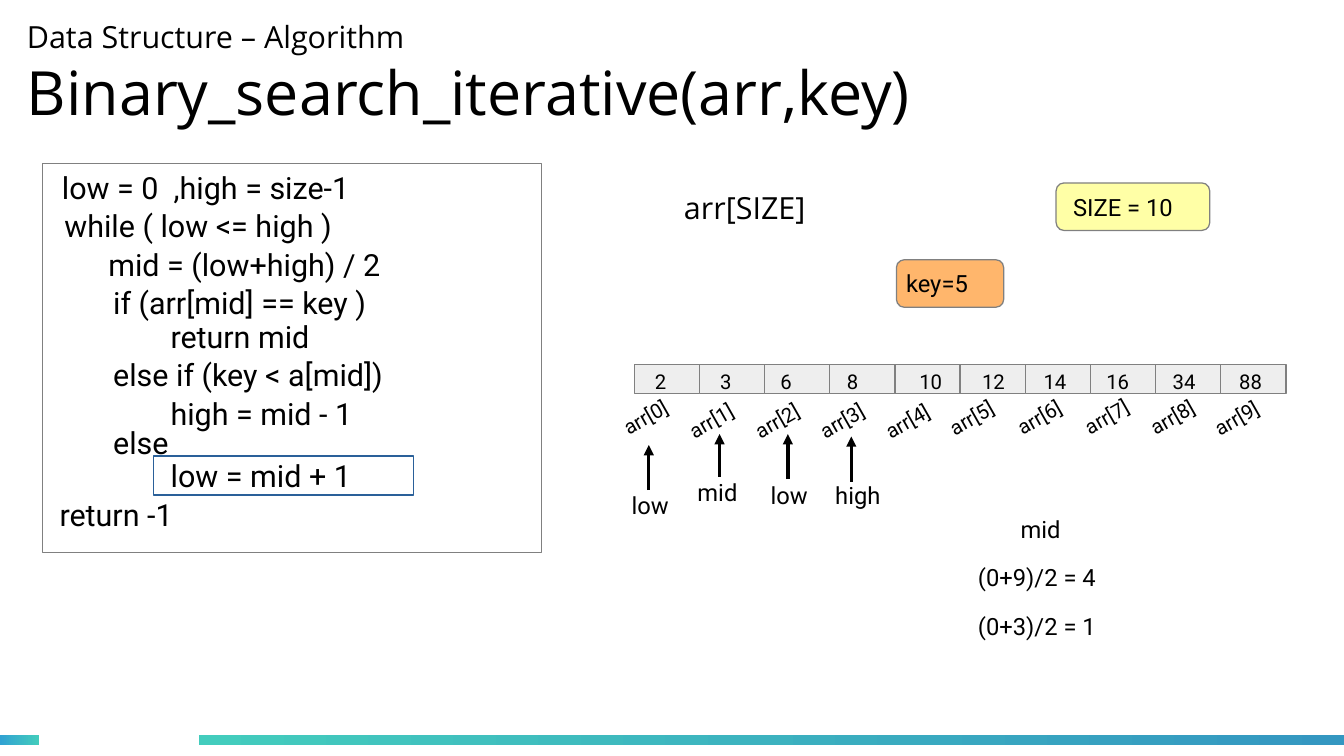
from lxml import etree
from pptx import Presentation
from pptx.dml.color import RGBColor
from pptx.enum.shapes import MSO_CONNECTOR, MSO_SHAPE
from pptx.enum.text import MSO_ANCHOR, PP_ALIGN
from pptx.oxml.ns import qn
from pptx.util import Inches, Pt

RECTANGLE = MSO_SHAPE.RECTANGLE
ROUNDED = MSO_SHAPE.ROUNDED_RECTANGLE
STRAIGHT = MSO_CONNECTOR.STRAIGHT
LEFT = PP_ALIGN.LEFT
TOP = MSO_ANCHOR.TOP
MIDDLE = MSO_ANCHOR.MIDDLE

COLORS = {
    "black": "000000", "white": "FFFFFF", "gray": "808080", "cell": "EEEEEE",
    "yellow": "FFFFA6", "orange": "FFB66C", "highlight": "2A6099",
    "teal": "43CCBD", "sky": "30A2D2", "blue": "3497C1",
}
COLORS = {name: RGBColor.from_string(value) for name, value in COLORS.items()}

deck = Presentation()
deck.slide_width = Inches(11.02)
deck.slide_height = Inches(6.2)
page = deck.slides.add_slide(deck.slide_layouts[5])


def write(shape, text, size, inset=0.1, top=0.05, anchor=TOP, font="Roboto"):
    frame = shape.text_frame
    frame.word_wrap = True
    frame.vertical_anchor = anchor
    frame.margin_left = Inches(inset)
    frame.margin_top = Inches(top)
    frame.margin_right = frame.margin_bottom = 0
    para = frame.paragraphs[0]
    para.text = text
    para.alignment = LEFT
    para.font.size = Pt(size)
    para.font.name = font
    para.font.color.rgb = COLORS["black"]


def draw(kind, left, top, width, height, fill, line="gray"):
    shape = page.shapes.add_shape(kind, Inches(left), Inches(top), Inches(width), Inches(height))
    shape.shadow.inherit = False
    shape.fill.solid()
    shape.fill.fore_color.rgb = COLORS[fill]
    shape.line.color.rgb = COLORS[line]
    shape.line.width = Pt(0)
    return shape


for left, width, start, end in [(0, 0.32, "sky", "teal"), (1.63, 9.39, "teal", "blue")]:
    bar = draw(RECTANGLE, left, 6.03, width, 0.08, start)
    bar.line.fill.background()
    bar.fill.gradient()
    bar.fill.gradient_angle = 0
    for stop, name in zip(bar.fill.gradient_stops, (start, end)):
        stop.color.rgb = COLORS[name]

title = page.shapes.title
title.left, title.top = Inches(0.22), Inches(-0.13)
title.width, title.height = Inches(10.41), Inches(1.45)
write(title, "Data Structure – Algorithm\vBinary_search_iterative(arr,key)", 36, 0, 0, MIDDLE, "Open Sans")
title.text_frame.paragraphs[0].runs[0].font.size = Pt(18)

array_name = page.shapes.add_textbox(Inches(5.51), Inches(1.5), Inches(1.42), Inches(0.44))
write(array_name, "arr[SIZE]", 18, font="Open Sans")

size_badge = draw(ROUNDED, 8.66, 1.5, 1.26, 0.39, "yellow")
write(size_badge, "SIZE = 10", 14, 0.12, 0, MIDDLE)
key_badge = draw(ROUNDED, 7.35, 2.13, 0.88, 0.39, "orange")
write(key_badge, "key=5", 14, 0.06, 0, MIDDLE)

draw(RECTANGLE, 0.35, 1.34, 4.09, 3.19, "white")
current_step = draw(RECTANGLE, 1.26, 3.74, 2.13, 0.32, "white", "highlight")
write(current_step, "low = mid + 1", 18, 0.14, 0, MIDDLE)

CODE = [
    ("low = 0  ,high = size-1", 0.41, 1.34),
    ("while ( low <= high )", 0.43, 1.65),
    ("mid = (low+high) / 2", 0.79, 1.97),
    ("if (arr[mid] == key )", 0.83, 2.28),
    ("return mid", 1.3, 2.56),
    ("else if (key < a[mid])", 0.83, 2.87),
    ("high = mid - 1", 1.3, 3.19),
    ("else", 0.83, 3.43),
    ("return -1", 0.39, 4.02),
]
for text, left, top in CODE:
    box = page.shapes.add_textbox(Inches(left), Inches(top), Inches(3.1), Inches(0.44))
    write(box, text, 18)

for text, left, top in [("mid", 8.27, 4.17), ("(0+9)/2 = 4", 7.92, 4.57), ("(0+3)/2 = 1", 7.92, 4.97)]:
    box = page.shapes.add_textbox(Inches(left), Inches(top), Inches(1.42), Inches(0.39))
    write(box, text, 14)

CELL_WIDTH = 0.5345
ARRAY = [
    (2, 0.17, 5, 3.24, 0.7, 0.33),
    (3, 0.17, 5.54, 3.27, 0.69, 0.33),
    (6, 0.13, 6.08, 3.27, 0.69, 0.33),
    (8, 0.14, 6.62, 3.27, 0.69, 0.36),
    (10, 0.2, 7.15, 3.28, 0.67, 0.33),
    (12, 0.18, 7.67, 3.23, 0.76, 0.33),
    (14, 0.15, 8.23, 3.21, 0.81, 0.36),
    (16, 0.13, 8.79, 3.24, 0.68, 0.36),
    (34, 0.14, 9.32, 3.24, 0.7, 0.33),
    (88, 0.15, 9.84, 3.22, 0.81, 0.33),
]
for index, (value, inset, left, top, width, height) in enumerate(ARRAY):
    cell = draw(RECTANGLE, 5.2 + index * CELL_WIDTH, 2.99, CELL_WIDTH, 0.24, "cell")
    write(cell, str(value), 12, inset, 0.04)
    label = page.shapes.add_textbox(Inches(left), Inches(top), Inches(width), Inches(height))
    label.rotation = 330.4
    write(label, f"arr[{index}]", 12)

POINTERS = [
    ("low", 5.08, 3.98, 5.32, 4.02, 3.65),
    ("mid", 5.62, 3.87, 5.9, 3.91, 3.56),
    ("low", 6.22, 3.89, 6.46, 3.93, 3.56),
    ("high", 6.75, 3.89, 6.98, 3.95, 3.58),
]
for text, left, top, middle, start, end in POINTERS:
    box = page.shapes.add_textbox(Inches(left), Inches(top), Inches(0.65), Inches(0.36))
    write(box, text, 14)
    arrow = page.shapes.add_connector(STRAIGHT, Inches(middle), Inches(start), Inches(middle), Inches(end))
    arrow.line.color.rgb = COLORS["black"]
    arrow.line.width = Pt(0)
    etree.SubElement(arrow.line._get_or_add_ln(), qn("a:tailEnd"), type="triangle")
    etree.SubElement(arrow._element.spPr, qn("a:effectLst"))

deck.save("out.pptx")
